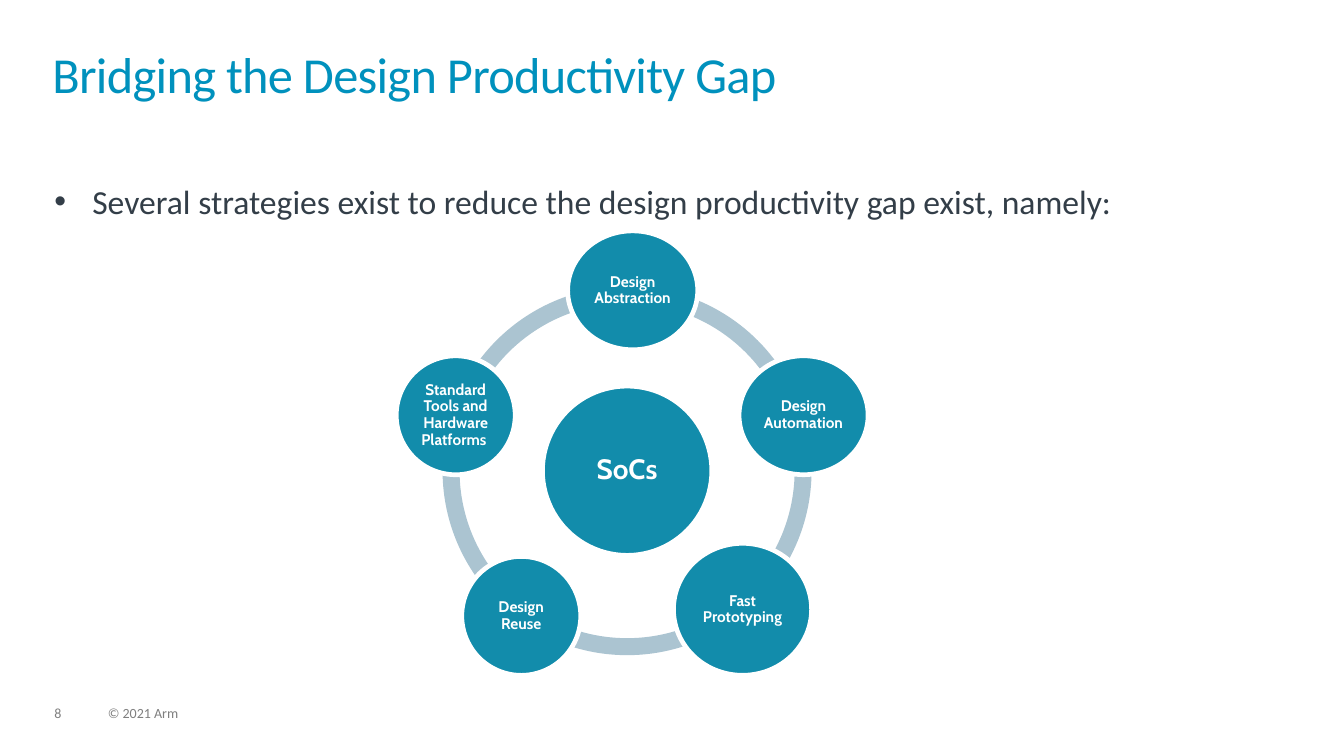
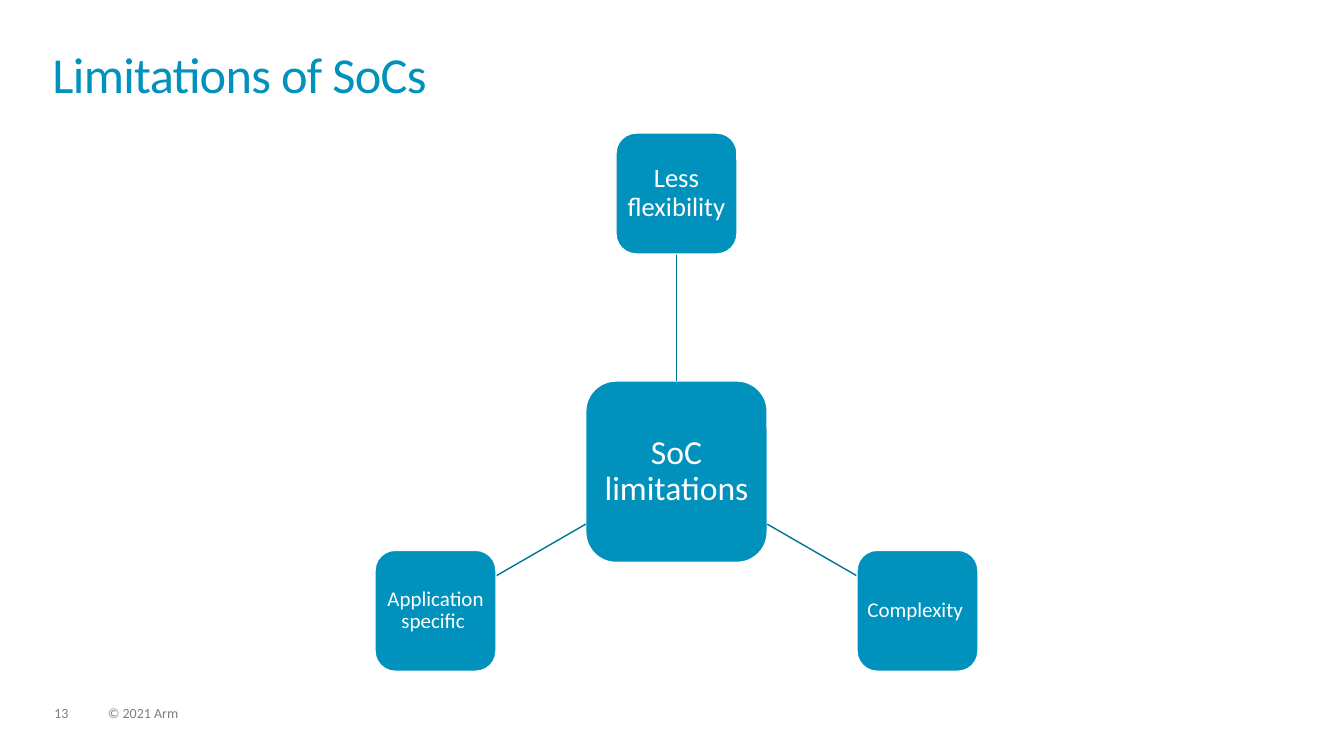
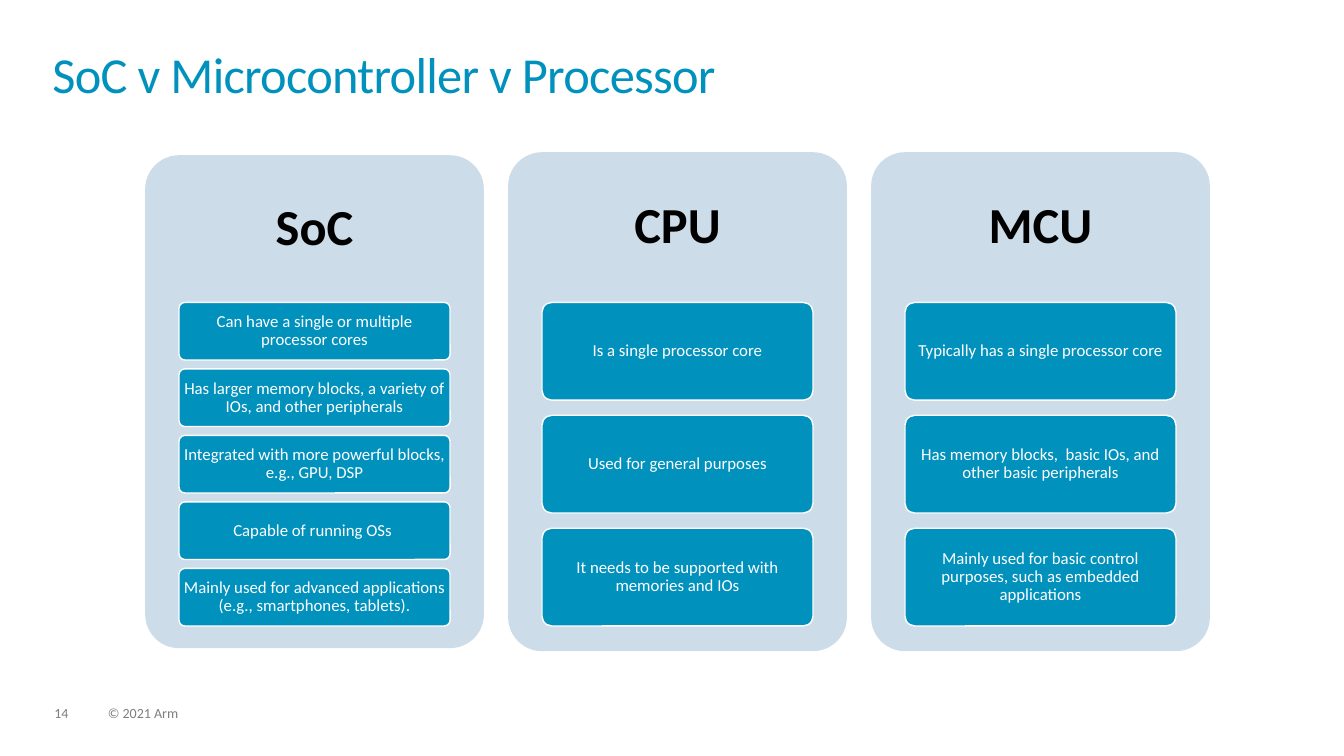
from dataclasses import dataclass
from math import cos, radians, sin

from lxml import etree
from pptx import Presentation
from pptx.dml.color import RGBColor
from pptx.enum.shapes import MSO_CONNECTOR, MSO_SHAPE
from pptx.enum.text import MSO_ANCHOR, MSO_AUTO_SIZE, PP_ALIGN
from pptx.oxml.ns import qn
from pptx.shapes.autoshape import Shape
from pptx.slide import Slide
from pptx.text.text import TextFrame
from pptx.util import Inches, Pt

ELLIPSE = MSO_SHAPE.OVAL
ROUNDED = MSO_SHAPE.ROUNDED_RECTANGLE
ARC = MSO_SHAPE.BLOCK_ARC
LEFT, CENTER = PP_ALIGN.LEFT, PP_ALIGN.CENTER
TOP, MIDDLE = MSO_ANCHOR.TOP, MSO_ANCHOR.MIDDLE
TITLE_AND_CONTENT, TITLE_ONLY = 1, 5


@dataclass(frozen=True)
class Theme:
    accent: str = "0091BD"
    accent_dark: str = "007497"
    bubble: str = "128CAB"
    ring: str = "ABC4D1"
    panel: str = "CCDCE8"
    body_text: str = "333E48"
    footer_text: str = "7F7F7F"
    white: str = "FFFFFF"
    black: str = "000000"
    font: str = "Calibri"
    diagram_font: str = "Cabin"
    heading_size: int = 36
    body_size: int = 24
    hub_size: int = 20
    card_size: int = 12
    bubble_size: int = 11
    footer_size: int = 10


THEME = Theme()


@dataclass(frozen=True)
class Box:
    left: float
    top: float
    width: float
    height: float


@dataclass(frozen=True)
class TextStyle:
    size: float
    color: str = THEME.white
    font: str = THEME.font
    bold: bool = False
    align: PP_ALIGN = CENTER
    anchor: MSO_ANCHOR = MIDDLE
    line_spacing: float = 0.9
    insets: tuple[float, float, float, float] = (0, 0, 0, 0)


@dataclass(frozen=True)
class Bubble:
    text: str
    box: Box


@dataclass(frozen=True)
class Satellite:
    text: str
    angle: float
    size: int
    inset: float


@dataclass(frozen=True)
class Column:
    heading: str
    panel_height: float
    card_inset: float
    cards: tuple[str, ...]


TITLE_STYLE = TextStyle(THEME.heading_size, THEME.accent, align=LEFT, anchor=TOP, line_spacing=0.85)
BODY_STYLE = TextStyle(THEME.body_size, THEME.body_text, align=LEFT, anchor=TOP, line_spacing=1.0)
FOOTER_STYLE = TextStyle(THEME.footer_size, THEME.footer_text, align=LEFT, anchor=TOP)

BUBBLES = (
    Bubble("Design Abstraction", Box(5.63, 2.29, 1.29, 1.18)),
    Bubble("Design Automation", Box(7.33, 3.53, 1.28, 1.18)),
    Bubble("Fast Prototyping", Box(6.68, 5.39, 1.37, 1.31)),
    Bubble("Design Reuse", Box(4.58, 5.52, 1.18, 1.18)),
    Bubble("Standard\nTools and Hardware Platforms ", Box(3.93, 3.53, 1.18, 1.18)),
)
SATELLITES = (
    Satellite("Less flexibility", -90, 19, 0.05),
    Satellite("Complexity ", 30, 15, 0.04),
    Satellite("Application specific ", 150, 15, 0.04),
)
COLUMNS = (
    Column("SoC", 4.89, 0.02, (
        "Can have a single or multiple processor cores",
        "Has larger memory blocks, a variety of IOs, and other peripherals",
        "Integrated with more powerful blocks, e.g., GPU, DSP",
        "Capable of running OSs ",
        "Mainly used for advanced applications (e.g., smartphones, tablets).",
    )),
    Column("CPU", 4.95, 0.04, (
        "Is a single processor core",
        "Used for general purposes",
        "It needs to be supported with memories and IOs",
    )),
    Column("MCU", 4.95, 0.04, (
        "Typically has a single processor core",
        "Has memory blocks,  basic IOs, and other basic peripherals",
        "Mainly used for basic control purposes, such as embedded applications",
    )),
)


# Shared helpers

def rgb(color: str) -> RGBColor:
    return RGBColor.from_string(color)


def place(shape: Shape, box: Box) -> None:
    shape.left, shape.top = Inches(box.left), Inches(box.top)
    shape.width, shape.height = Inches(box.width), Inches(box.height)


def write_text(frame: TextFrame, text: str, style: TextStyle) -> None:
    frame.text = text
    frame.word_wrap = True
    frame.auto_size = MSO_AUTO_SIZE.NONE
    frame.vertical_anchor = style.anchor
    (frame.margin_left, frame.margin_top,
     frame.margin_right, frame.margin_bottom) = map(Inches, style.insets)
    for paragraph in frame.paragraphs:
        paragraph.alignment = style.align
        paragraph.line_spacing = style.line_spacing
        paragraph.space_before = Pt(0)
        font = paragraph.font
        font.name, font.size, font.bold = style.font, Pt(style.size), style.bold
        font.color.rgb = rgb(style.color)


def add_shape(slide: Slide, kind: MSO_SHAPE, box: Box, fill: str, line_width: float = 0,
              adjustments: tuple[float, ...] = ()) -> Shape:
    """Draw a flat preset shape, with a white outline if it has a line width."""
    shape = slide.shapes.add_shape(
        kind, Inches(box.left), Inches(box.top), Inches(box.width), Inches(box.height))
    shape.shadow.inherit = False
    shape.fill.solid()
    shape.fill.fore_color.rgb = rgb(fill)
    if line_width:
        shape.line.color.rgb = rgb(THEME.white)
        shape.line.width = Pt(line_width)
    else:
        shape.line.fill.background()
    for index, value in enumerate(adjustments):
        shape.adjustments[index] = value
    return shape


def add_line(slide: Slide, start: tuple[float, float], end: tuple[float, float]) -> None:
    connector = slide.shapes.add_connector(
        MSO_CONNECTOR.STRAIGHT, *(Inches(value) for value in (*start, *end)))
    connector.line.color.rgb = rgb(THEME.accent_dark)
    connector.line.width = Pt(1)
    etree.SubElement(connector._element.spPr, qn("a:effectLst"))


def add_slide(presentation: Presentation, layout: int, title: str, number: int) -> Slide:
    """Start a slide with the common title, page number and copyright line."""
    slide = presentation.slides.add_slide(presentation.slide_layouts[layout])
    heading = slide.shapes.title
    place(heading, Box(0.52, 0.52, 12.28, 0.72))
    write_text(heading.text_frame, title, TITLE_STYLE)
    heading.text_frame.paragraphs[0].runs[0]._r.get_or_add_rPr().set("spc", "-50")
    for text, left, width in ((str(number), 0.54, 0.34), ("© 2021 Arm", 1.07, 5.07)):
        footer = slide.shapes.add_textbox(
            Inches(left), Inches(7.01), Inches(width), Inches(0.15))
        write_text(footer.text_frame, text, FOOTER_STYLE)
    return slide


def add_bullet(slide: Slide, text: str) -> None:
    body = slide.placeholders[1]
    place(body, Box(0.54, 1.79, 12.23, 4.47))
    body.text_frame.text = text
    properties = body.text_frame.paragraphs[0]._p.get_or_add_pPr()
    properties.set("marL", str(Inches(0.38)))
    properties.set("indent", str(-Inches(0.38)))
    bullet_color = etree.SubElement(properties, qn("a:buClr"))
    etree.SubElement(bullet_color, qn("a:srgbClr"), val=THEME.accent)
    etree.SubElement(properties, qn("a:buFont"), typeface="Arial")
    etree.SubElement(properties, qn("a:buChar"), char="•")
    write_text(body.text_frame, text, BODY_STYLE)


# Slide contents

def draw_strategies(slide: Slide) -> None:
    add_bullet(slide, "Several strategies exist to reduce the design productivity gap exist, namely:")
    # Ring of five arcs; one degree is 0.6 adjustment units
    step = 360 / len(BUBBLES)
    for index in range(len(BUBBLES)):
        start = (270 + index * step) % 360
        end = (start + step) % 360
        add_shape(slide, ARC, Box(4.39, 2.84, 3.66, 3.66), THEME.ring,
                  adjustments=(start * 0.6, end * 0.6, 0.046))
    # Hub and surrounding bubbles
    hub = Bubble("SoCs", Box(5.38, 3.83, 1.68, 1.68))
    for bubble in (hub, *BUBBLES):
        size, inset = (THEME.hub_size, 0.03) if bubble is hub else (THEME.bubble_size, 0.02)
        shape = add_shape(slide, ELLIPSE, bubble.box, THEME.bubble, 3.34)
        write_text(shape.text_frame, bubble.text,
                   TextStyle(size, font=THEME.diagram_font, bold=True, insets=(inset,) * 4))


def draw_limitations(slide: Slide) -> None:
    center_x, center_y, radius = 6.71, 4.68, 2.76
    hub_side, satellite_side = 1.8, 1.2

    def add_node(text: str, x: float, y: float, side: float, size: int, inset: float) -> None:
        box = Box(x - side / 2, y - side / 2, side, side)
        shape = add_shape(slide, ROUNDED, box, THEME.accent, 1, (0.1667,))
        write_text(shape.text_frame, text, TextStyle(size, insets=(inset,) * 4))

    add_node("SoC limitations", center_x, center_y, hub_side, THEME.body_size, 0.07)
    for satellite in SATELLITES:
        dx, dy = cos(radians(satellite.angle)), sin(radians(satellite.angle))
        reach = max(abs(dx), abs(dy))

        def along(distance: float) -> tuple[float, float]:
            return center_x + distance * dx, center_y + distance * dy

        # The line runs from the hub's edge to the satellite's edge
        add_line(slide, along(hub_side / 2 / reach), along(radius - satellite_side / 2 / reach))
        add_node(satellite.text, *along(radius), satellite_side, satellite.size, satellite.inset)


def draw_comparison(slide: Slide) -> None:
    panel_width, pitch, middle = 3.36, 3.6, 3.985
    cards_top, cards_height, gap_ratio = 3.0, 3.21, 0.155
    margin = panel_width / 10
    for index, column in enumerate(COLUMNS):
        # Panel with its heading in the upper part
        left, height = 1.44 + index * pitch, column.panel_height
        panel = add_shape(slide, ROUNDED, Box(left, middle - height / 2, panel_width, height),
                          THEME.panel, adjustments=(0.1,))
        write_text(panel.text_frame, column.heading,
                   TextStyle(THEME.heading_size, THEME.black, bold=True,
                             insets=(0.15, 0.15, 0.15, 0.73 * height)))
        # Cards share the same height, whatever their number
        count = len(column.cards)
        card_height = cards_height / (count + (count - 1) * gap_ratio)
        for row, text in enumerate(column.cards):
            top = cards_top + row * card_height * (1 + gap_ratio)
            card = add_shape(slide, ROUNDED,
                             Box(left + margin, top, panel_width - 2 * margin, card_height),
                             THEME.accent, 1, (0.1,))
            write_text(card.text_frame, text,
                       TextStyle(THEME.card_size, insets=(column.card_inset,) * 4))


def main() -> None:
    presentation = Presentation()
    presentation.slide_width, presentation.slide_height = Inches(13.33), Inches(7.5)
    draw_strategies(add_slide(
        presentation, TITLE_AND_CONTENT, "Bridging the Design Productivity Gap", 8))
    draw_limitations(add_slide(presentation, TITLE_ONLY, "Limitations of SoCs", 13))
    draw_comparison(add_slide(presentation, TITLE_ONLY, "SoC v Microcontroller v Processor", 14))
    presentation.save("out.pptx")


if __name__ == "__main__":
    main()
